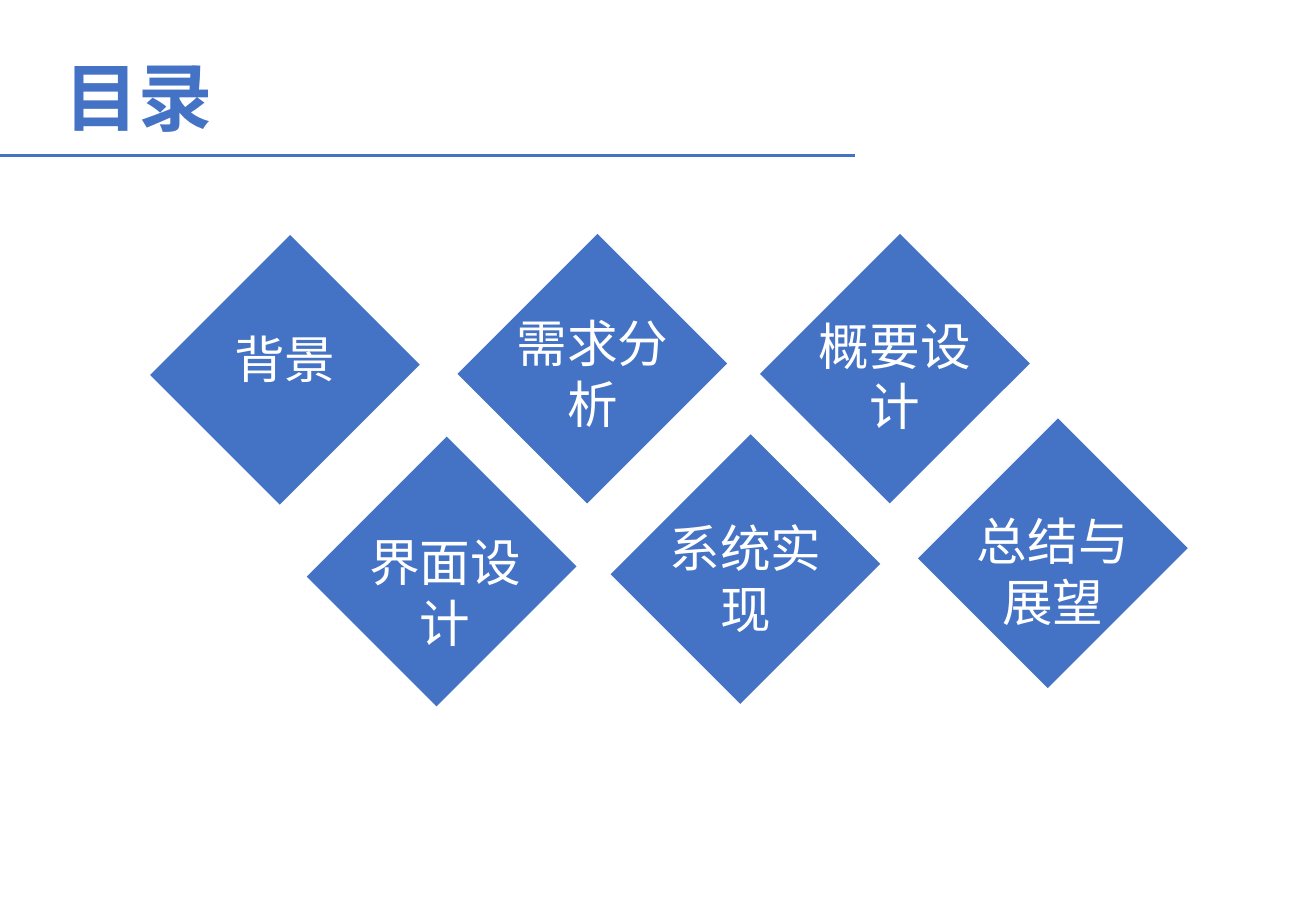
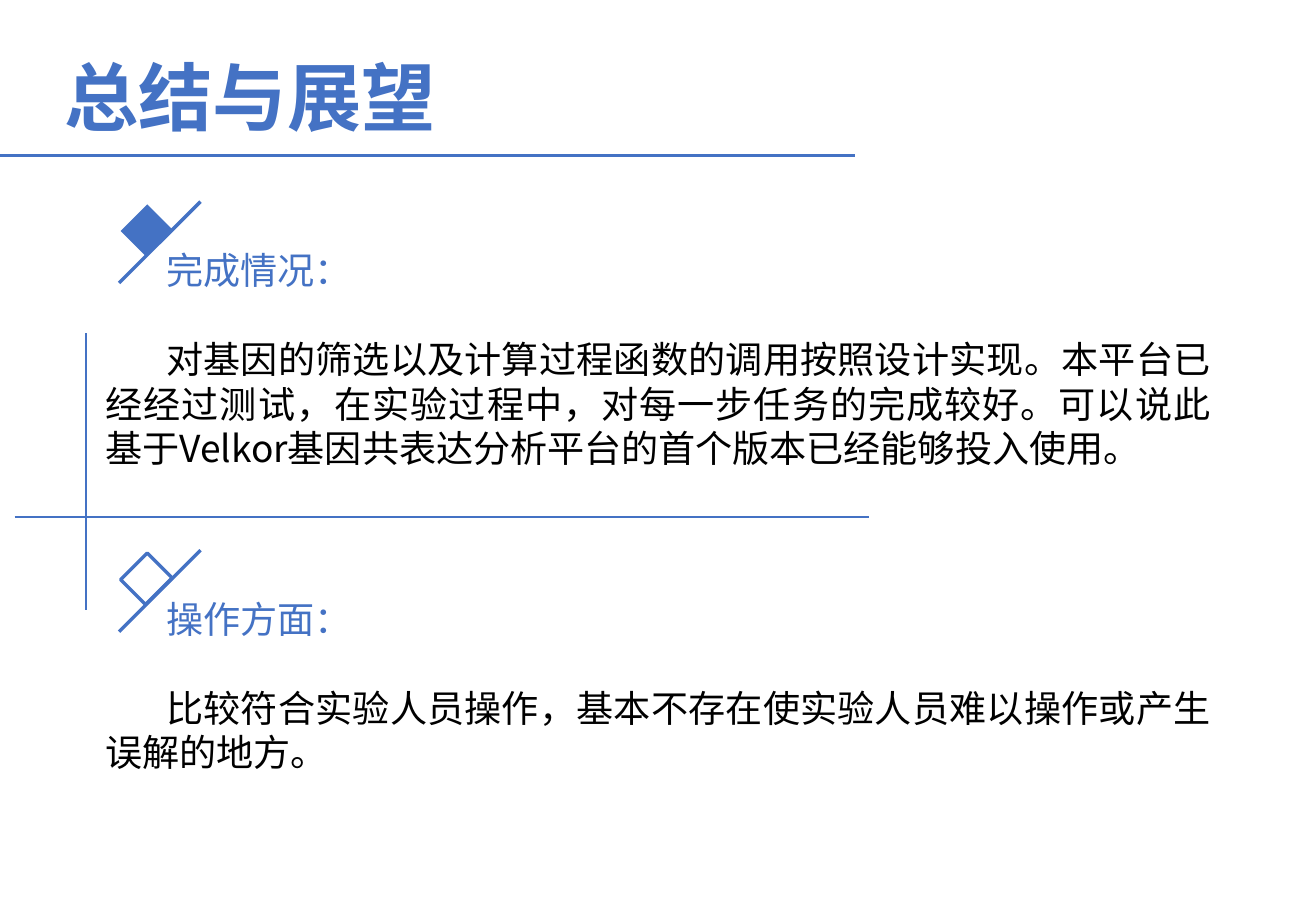
from lxml.etree import SubElement
from pptx import Presentation
from pptx.dml.color import RGBColor
from pptx.enum.shapes import MSO_CONNECTOR, MSO_SHAPE
from pptx.enum.text import MSO_ANCHOR, PP_ALIGN
from pptx.oxml.ns import qn
from pptx.util import Pt

PX = 9144  # 100 px to the inch
FONT = "Noto Sans CJK SC"
COLORS = {"accent": "4472C4", "white": "FFFFFF", "black": "000000"}
LINE_HEIGHT = 1.2
TILE_W, TILE_H = 163, 151

# label, tile left and top, text offset from the tile
TOPICS = [
    ("背景", 153, 229, 8, 36),
    ("需求分析", 406, 228, 8, 24),
    ("概要设计", 655, 228, 8, 26),
    ("界面设计", 282, 395, 11, 37),
    ("系统实现", 532, 393, 8, 28),
    ("总结与展望", 785, 380, 8, 35),
]

# top, height of the text, whether the marker is solid, heading, body
SECTIONS = [
    (166, 195, True, "完成情况：",
     "对基因的筛选以及计算过程函数的调用按照设计实现。本平台已经经过测试，"
     "在实验过程中，对每一步任务的完成较好。"
     "可以说此基于Velkor基因共表达分析平台的首个版本已经能够投入使用。"),
    (453, 158, False, "操作方面：",
     "比较符合实验人员操作，基本不存在使实验人员难以操作或产生误解的地方。"),
]


def px(*lengths):
    return [length * PX for length in lengths]


def rgb(name):
    return RGBColor.from_string(COLORS[name])


def write(paragraph, text, size, color, align=PP_ALIGN.LEFT, bold=False, before=0):
    for key, value in {"alignment": align, "space_before": Pt(before),
                       "line_spacing": Pt(size * LINE_HEIGHT)}.items():
        setattr(paragraph, key, value)
    run = paragraph.add_run()
    run.text = text
    for key, value in {"size": Pt(size), "bold": bold, "name": FONT}.items():
        setattr(run.font, key, value)
    run.font.color.rgb = rgb(color)
    SubElement(run._r.get_or_add_rPr(), qn("a:ea")).set("typeface", FONT)


def add_text_frame(slide, *box):
    frame = slide.shapes.add_textbox(*px(*box)).text_frame
    frame.word_wrap = True
    return frame


def add_rule(slide, x1, y1, x2, y2, width=1.25):
    rule = slide.shapes.add_connector(MSO_CONNECTOR.STRAIGHT, *px(x1, y1, x2, y2))
    rule.line.color.rgb = rgb("accent")
    rule.line.width = Pt(width)
    SubElement(rule.element.spPr, qn("a:effectLst"))


def add_diamond(slide, left, top, width, height, solid=True):
    """Add a rectangle standing on its corner, filled or outlined."""
    diamond = slide.shapes.add_shape(MSO_SHAPE.RECTANGLE, *px(left, top, width, height))
    diamond.rotation = 315
    diamond.shadow.inherit = False
    if solid:
        diamond.fill.solid()
        diamond.fill.fore_color.rgb = rgb("accent")
        diamond.line.fill.background()
    else:
        diamond.fill.background()
        diamond.line.color.rgb = rgb("accent")
        diamond.line.width = Pt(2)


def start_slide(prs, heading):
    """Add a slide with its title and the rule below it."""
    slide = prs.slides.add_slide(prs.slide_layouts[5])
    title = slide.shapes.title
    for side, value in zip(("left", "top", "width", "height"), px(43, 37, 870, 71)):
        setattr(title, side, value)
    title.text_frame.vertical_anchor = MSO_ANCHOR.TOP
    write(title.text_frame.paragraphs[0], heading, 44, "accent", bold=True)
    add_rule(slide, 0, 128, 704, 128)
    return slide


def add_topic(slide, label, left, top, dx, dy):
    add_diamond(slide, left, top, TILE_W, TILE_H)
    frame = add_text_frame(slide, left + dx, top + dy, 147, 111)
    write(frame.paragraphs[0], label, 30, "white", PP_ALIGN.CENTER)


def add_section(slide, left, top, height, solid, heading, body):
    frame = add_text_frame(slide, left, top + 33, 930, height)
    write(frame.paragraphs[0], heading, 22, "accent", PP_ALIGN.JUSTIFY)
    write(frame.add_paragraph(), body, 22, "black", PP_ALIGN.JUSTIFY,
          before=22 * LINE_HEIGHT)
    for paragraph in frame.paragraphs:
        paragraph._p.get_or_add_pPr().set("indent", str(50 * PX))
    add_diamond(slide, left + 28, top + 9, 31, 29, solid)
    add_rule(slide, left + 88, top, left + 21, top + 67, width=2)


def build_contents(prs):
    slide = start_slide(prs, "目录")
    for topic in TOPICS:
        add_topic(slide, *topic)


def build_summary(prs):
    slide = start_slide(prs, "总结与展望")
    for section in SECTIONS:
        add_section(slide, 77, *section)
    add_rule(slide, 12, 426, 715, 426)
    add_rule(slide, 71, 502, 71, 274)


def main():
    prs = Presentation()
    prs.slide_width, prs.slide_height = px(1083, 750)
    build_contents(prs)
    build_summary(prs)
    prs.save("out.pptx")


if __name__ == "__main__":
    main()
